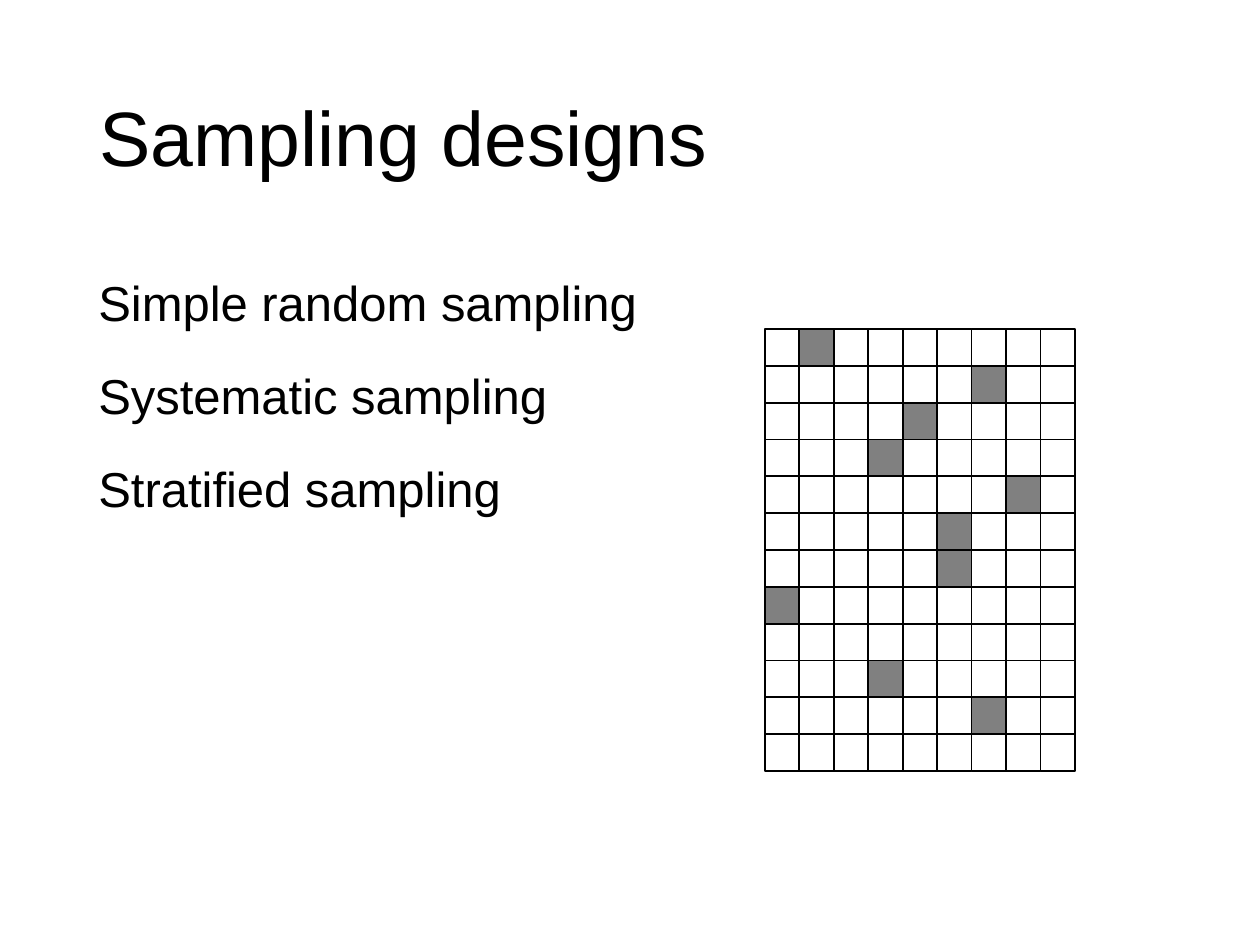
from pptx import Presentation
from pptx.dml.color import RGBColor
from pptx.enum.shapes import MSO_SHAPE
from pptx.enum.text import MSO_ANCHOR, MSO_AUTO_SIZE, PP_ALIGN
from pptx.util import Emu, Pt

RECTANGLE = MSO_SHAPE.RECTANGLE
MIDDLE = MSO_ANCHOR.MIDDLE
GROW = MSO_AUTO_SIZE.SHAPE_TO_FIT_TEXT
NO_FIT = MSO_AUTO_SIZE.NONE
LEFT = PP_ALIGN.LEFT

EMU_PER_PX = 914400 // 126
FONT = "Arial"
BLACK = "000000"
GRAY = "808080"

DESIGNS = ["Simple random sampling", "Systematic sampling", "Stratified sampling"]
GRID_LEFT, GRID_TOP, GRID_WIDTH, GRID_HEIGHT = 765, 329, 310, 442
ROWS, COLUMNS = 12, 9
SAMPLED = {(0, 1), (1, 6), (2, 4), (3, 3), (4, 7),
           (5, 5), (6, 5), (7, 0), (9, 3), (10, 6)}


def px(length):
    return Emu(round(length * EMU_PER_PX))


def color(value):
    return RGBColor.from_string(value)


def style_paragraph(para, size, line_spacing, space_after=0):
    para.alignment = LEFT
    para.line_spacing = line_spacing
    para.space_before = Pt(0)
    para.space_after = Pt(space_after)
    para.font.name = FONT
    para.font.size = Pt(size)
    para.font.color.rgb = color(BLACK)


def set_title(slide, text):
    title = slide.shapes.title
    title.left, title.top = px(87), px(50)
    title.width, title.height = px(1086), px(183)
    frame = title.text_frame
    frame.text = text
    frame.word_wrap = True
    frame.auto_size = NO_FIT
    frame.vertical_anchor = MIDDLE
    style_paragraph(frame.paragraphs[0], 44, 0.9)


def add_design_list(slide, designs):
    box = slide.shapes.add_textbox(px(86), px(263), px(1087), px(255))
    frame = box.text_frame
    frame.word_wrap = True
    frame.auto_size = GROW
    frame.text = "\n".join(designs)
    for para in frame.paragraphs:
        style_paragraph(para, 28, 1.05, 18)


def add_cell(group, row, column):
    width, height = GRID_WIDTH / COLUMNS, GRID_HEIGHT / ROWS
    cell = group.shapes.add_shape(
        RECTANGLE,
        px(GRID_LEFT + column * width), px(GRID_TOP + row * height),
        px(width), px(height),
    )
    cell.shadow.inherit = False
    cell.line.color.rgb = color(BLACK)
    cell.line.width = Pt(1)
    if (row, column) in SAMPLED:
        cell.fill.solid()
        cell.fill.fore_color.rgb = color(GRAY)
    else:
        cell.fill.background()


def add_sampling_grid(slide):
    group = slide.shapes.add_group_shape()
    for row in range(ROWS):
        for column in range(COLUMNS):
            add_cell(group, row, column)


def main():
    deck = Presentation()
    deck.slide_width, deck.slide_height = px(1260), px(945)
    slide = deck.slides.add_slide(deck.slide_layouts[5])
    set_title(slide, "Sampling designs")
    add_design_list(slide, DESIGNS)
    add_sampling_grid(slide)
    deck.save("out.pptx")


if __name__ == "__main__":
    main()
